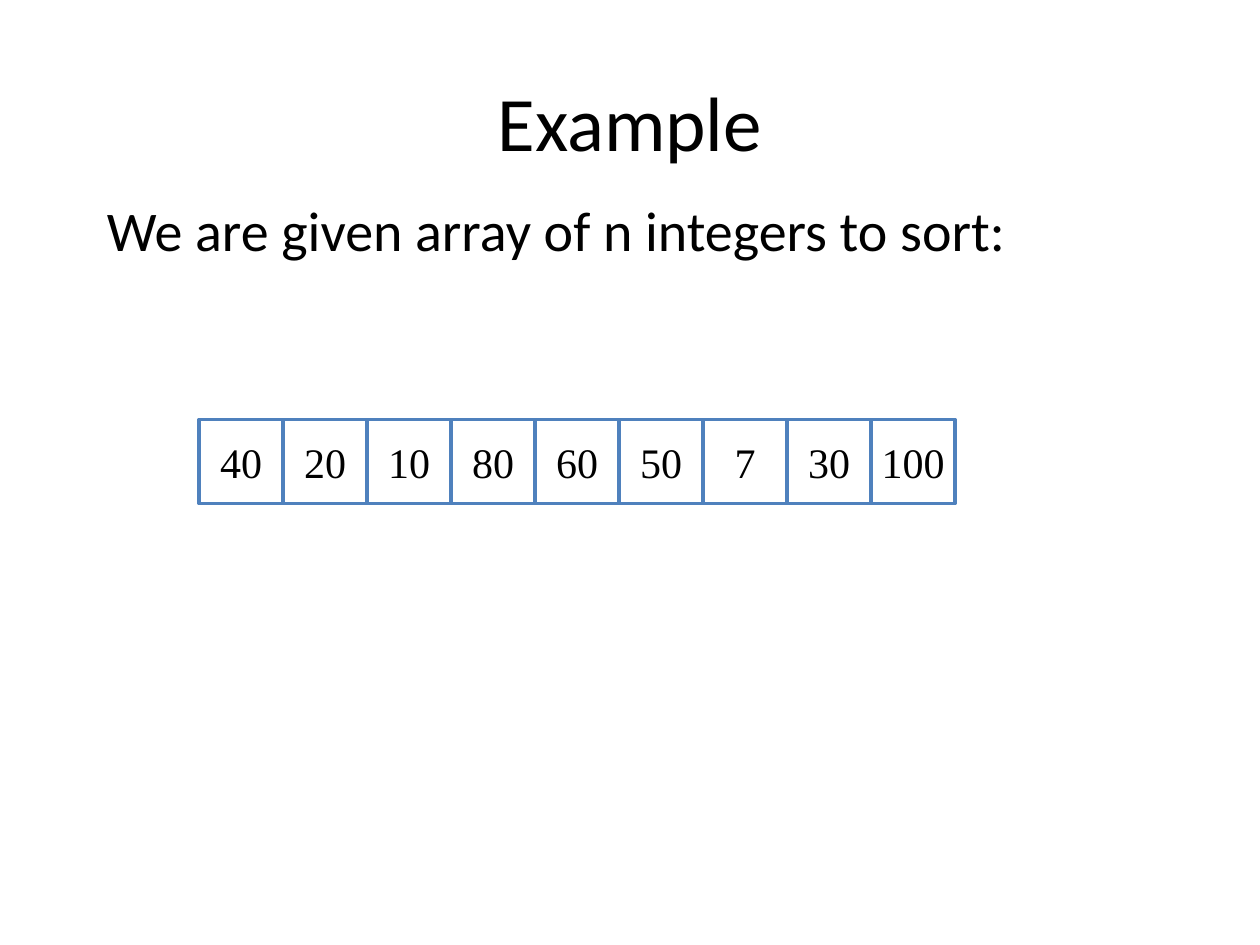
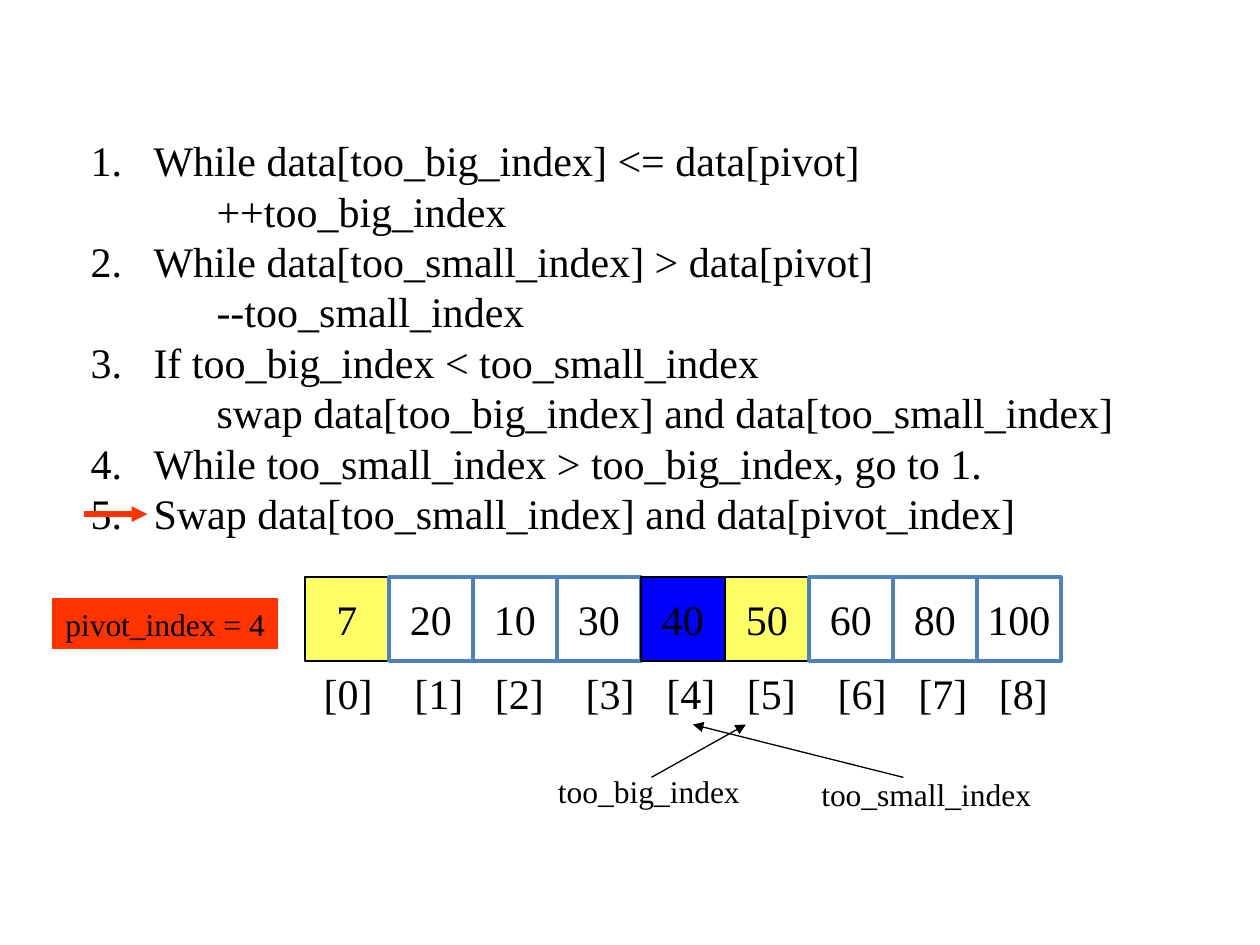
from dataclasses import dataclass
from itertools import accumulate

import lxml.etree
import pptx
import pptx.dml.color
import pptx.enum.shapes
import pptx.enum.text
import pptx.oxml.ns
import pptx.util

Inches = pptx.util.Inches
Pt = pptx.util.Pt
RGBColor = pptx.dml.color.RGBColor
ALIGN = pptx.enum.text.PP_ALIGN
ANCHOR = pptx.enum.text.MSO_ANCHOR
qn = pptx.oxml.ns.qn


@dataclass(frozen=True)
class Theme:
    heading_font: str = "Calibri"
    body_font: str = "Times New Roman"
    black: str = "000000"
    white: str = "FFFFFF"
    outline: str = "4F81BD"
    yellow: str = "FFFF66"
    blue: str = "0000FF"
    red: str = "FF3300"
    title_size: int = 44
    lead_size: int = 32
    text_size: int = 24
    label_size: int = 18
    thin: float = 0.75
    cell_line: float = 2
    marker_line: float = 3


THEME = Theme()
CELL_SIZE = 2 / 3


@dataclass(frozen=True)
class Box:
    left: float
    top: float
    width: float
    height: float

    def lengths(self) -> list:
        return [Inches(n) for n in (self.left, self.top, self.width, self.height)]


@dataclass(frozen=True)
class Arrow:
    start: tuple[float, float]
    end: tuple[float, float]
    color: str = THEME.black
    width: float = THEME.thin


@dataclass(frozen=True)
class Step:
    text: str
    numbered: bool = True


def color_of(value: str) -> RGBColor:
    return RGBColor.from_string(value)


def style(paragraph, size: int, font: str = THEME.body_font, align=ALIGN.LEFT) -> None:
    paragraph.alignment = align
    paragraph.font.name = font
    paragraph.font.size = Pt(size)
    paragraph.font.color.rgb = color_of(THEME.black)


def add_text(slide, box: Box, text: str, size: int, font: str = THEME.body_font,
             align=ALIGN.LEFT, anchor=ANCHOR.TOP):
    shape = slide.shapes.add_textbox(*box.lengths())
    frame = shape.text_frame
    frame.word_wrap = True
    frame.vertical_anchor = anchor
    frame.text = text
    style(frame.paragraphs[0], size, font, align)
    return shape


def add_rectangle(slide, box: Box, text: str, size: int, fill: str, line: str,
                  line_width: float, align=ALIGN.CENTER, anchor=ANCHOR.MIDDLE) -> None:
    shape = slide.shapes.add_shape(pptx.enum.shapes.MSO_SHAPE.RECTANGLE, *box.lengths())
    shape.shadow.inherit = False
    shape.fill.solid()
    shape.fill.fore_color.rgb = color_of(fill)
    shape.line.color.rgb = color_of(line)
    shape.line.width = Pt(line_width)
    frame = shape.text_frame
    frame.word_wrap = False
    frame.vertical_anchor = anchor
    frame.text = text
    style(frame.paragraphs[0], size, align=align)


def add_array(slide, left: float, top: float, values: list[int],
              highlights: dict[int, str]) -> None:
    for index, value in enumerate(values):
        box = Box(left + index * CELL_SIZE, top, CELL_SIZE, CELL_SIZE)
        marked = index in highlights
        add_rectangle(slide, box, str(value), THEME.text_size,
                      highlights.get(index, THEME.white),
                      THEME.black if marked else THEME.outline,
                      THEME.thin if marked else THEME.cell_line)


def add_arrow(slide, arrow: Arrow) -> None:
    connector = slide.shapes.add_connector(
        pptx.enum.shapes.MSO_CONNECTOR.STRAIGHT,
        *(Inches(n) for n in arrow.start + arrow.end))
    connector.line.color.rgb = color_of(arrow.color)
    connector.line.width = Pt(arrow.width)
    line = connector.line._get_or_add_ln()
    lxml.etree.SubElement(line, qn("a:tailEnd"), type="triangle")
    lxml.etree.SubElement(connector._element.spPr, qn("a:effectLst"))


def add_steps(slide, box: Box, steps: list[Step]) -> None:
    frame = slide.shapes.add_textbox(*box.lengths()).text_frame
    frame.word_wrap = True
    for index, step in enumerate(steps):
        paragraph = frame.paragraphs[0] if index == 0 else frame.add_paragraph()
        paragraph.text = step.text
        properties = paragraph._p.get_or_add_pPr()
        if step.numbered:
            properties.set("marL", str(Inches(0.5)))
            properties.set("indent", str(Inches(-0.5)))
            lxml.etree.SubElement(properties, qn("a:buFont"), typeface=THEME.body_font)
            lxml.etree.SubElement(properties, qn("a:buAutoNum"), type="arabicPeriod")
        else:
            paragraph.level = 1
            properties.set("marL", str(Inches(1)))
            properties.set("indent", "0")
            lxml.etree.SubElement(properties, qn("a:buNone"))
        style(paragraph, THEME.text_size)


def add_index_row(slide, box: Box, gaps: list[float]) -> None:
    text = "\t".join(f"[{index}]" for index in range(len(gaps) + 1))
    shape = add_text(slide, box, text, THEME.text_size)
    properties = shape.text_frame.paragraphs[0]._p.get_or_add_pPr()
    stops = lxml.etree.Element(qn("a:tabLst"))
    for position in accumulate(gaps):
        lxml.etree.SubElement(stops, qn("a:tab"), pos=str(Inches(position)), algn="l")
    properties.insert(0, stops)


def build_example(slide) -> None:
    add_text(slide, Box(0.75, 0.33, 8.5, 1.25), "Example", THEME.title_size,
             THEME.heading_font, ALIGN.CENTER, ANCHOR.MIDDLE)
    add_text(slide, Box(0.75, 1.5, 8.5, 4.5), "We are given array of n integers to sort:",
             THEME.lead_size, THEME.heading_font)
    add_array(slide, 1.58, 3.33, [40, 20, 10, 80, 60, 50, 7, 30, 100], {})


def build_partition(slide) -> None:
    # Algorithm steps
    add_steps(slide, Box(0.62, 1.02, 9.32, 4.5), [
        Step("While data[too_big_index] <= data[pivot]"),
        Step("++too_big_index", numbered=False),
        Step("While data[too_small_index] > data[pivot]"),
        Step("--too_small_index", numbered=False),
        Step("If too_big_index < too_small_index"),
        Step("swap data[too_big_index] and data[too_small_index]", numbered=False),
        Step("While too_small_index > too_big_index, go to 1."),
        Step("Swap data[too_small_index] and data[pivot_index]"),
    ])

    # Array with pivot and swapped cells
    add_array(slide, 2.42, 4.58, [7, 20, 10, 30, 40, 50, 60, 80, 100],
              {0: THEME.yellow, 4: THEME.blue, 5: THEME.yellow})
    add_rectangle(slide, Box(0.42, 4.75, 1.78, 0.4), "pivot_index = 4", THEME.label_size,
                  THEME.red, THEME.red, THEME.thin, ALIGN.LEFT, ANCHOR.TOP)
    wide, narrow = 0.72, 0.64
    add_index_row(slide, Box(2.47, 5.25, 6.1, 0.5),
                  [wide, narrow, wide, narrow, narrow, wide, narrow, narrow])

    # Index labels and arrows
    add_text(slide, Box(4.33, 6.08, 3.17, 0.4), "too_big_index", THEME.label_size)
    add_text(slide, Box(6.42, 6.1, 2.33, 0.4), "too_small_index", THEME.label_size)
    for arrow in (
        Arrow((7.17, 6.17), (5.5, 5.75)),
        Arrow((5.17, 6.17), (5.92, 5.75)),
        Arrow((0.67, 4.08), (1.17, 4.08), THEME.red, THEME.marker_line),
    ):
        add_arrow(slide, arrow)


def main() -> None:
    presentation = pptx.Presentation()
    presentation.slide_width = Inches(10)
    presentation.slide_height = Inches(7.5)
    blank_layout = presentation.slide_layouts[6]
    for build in (build_example, build_partition):
        build(presentation.slides.add_slide(blank_layout))
    presentation.save("out.pptx")


if __name__ == "__main__":
    main()
